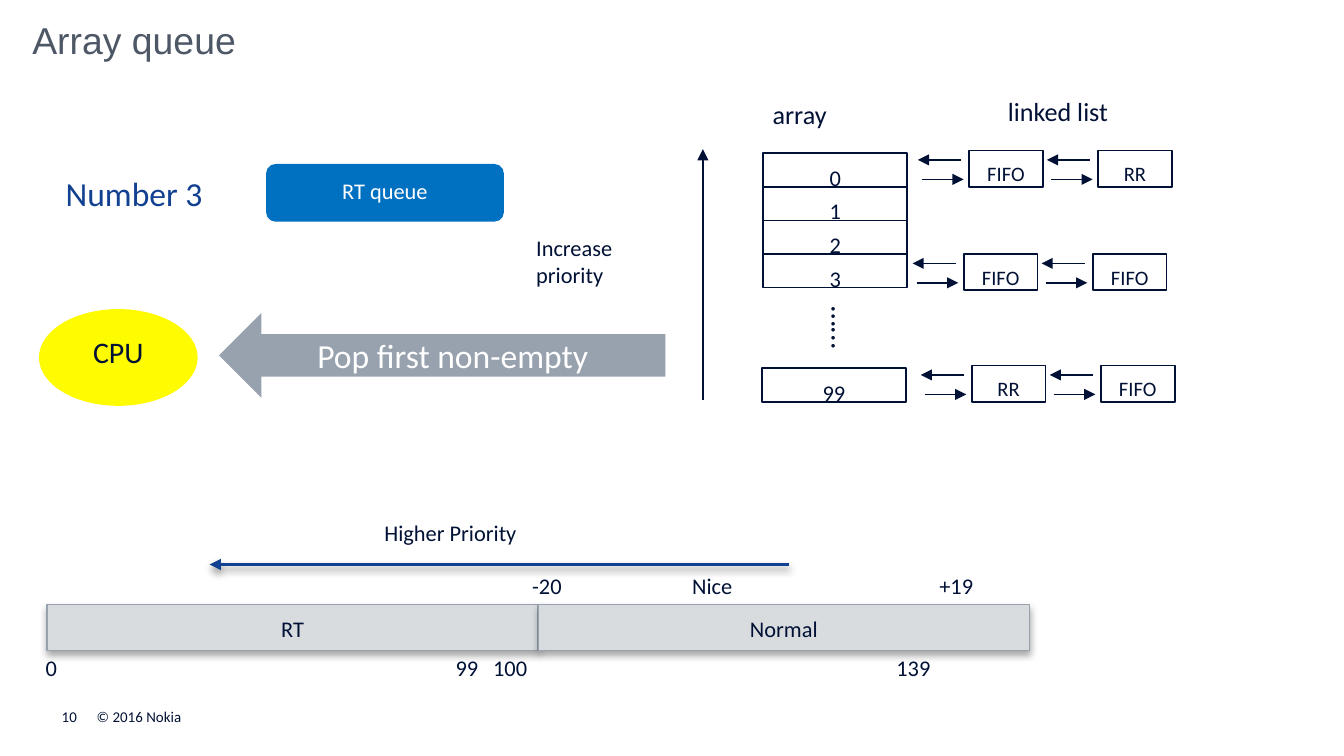
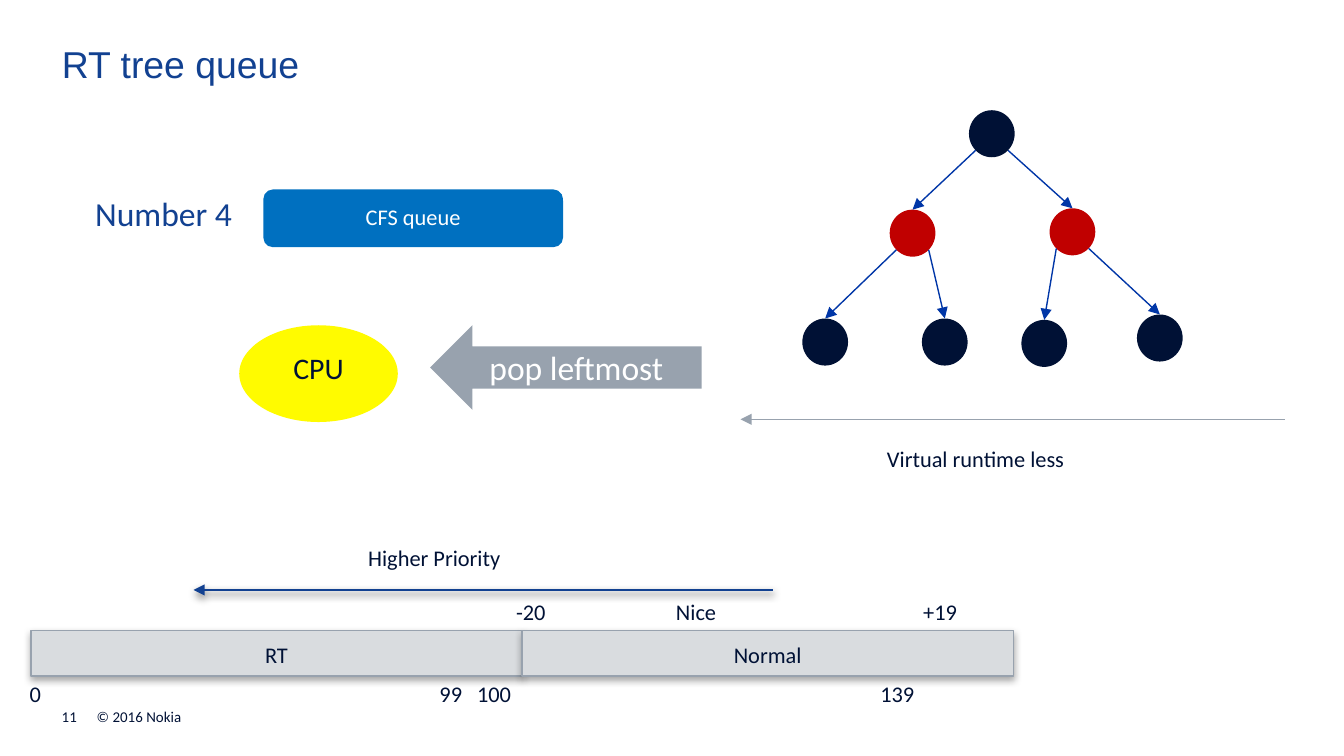
from lxml import etree
from pptx import Presentation
from pptx.dml.color import RGBColor
from pptx.enum.shapes import MSO_CONNECTOR, MSO_SHAPE
from pptx.enum.text import MSO_ANCHOR, PP_ALIGN
from pptx.oxml.ns import qn
from pptx.util import Inches, Pt

RECT, ROUNDED = MSO_SHAPE.RECTANGLE, MSO_SHAPE.ROUNDED_RECTANGLE
OVAL, LEFT_ARROW = MSO_SHAPE.OVAL, MSO_SHAPE.LEFT_ARROW
STRAIGHT = MSO_CONNECTOR.STRAIGHT
TOP, MIDDLE, BOTTOM = MSO_ANCHOR.TOP, MSO_ANCHOR.MIDDLE, MSO_ANCHOR.BOTTOM
CENTER = PP_ALIGN.CENTER

NAVY = RGBColor(0x00, 0x11, 0x35)
BLUE = RGBColor(0x12, 0x41, 0x91)
EDGE_BLUE = RGBColor(0x00, 0x36, 0xA7)
QUEUE_BLUE = RGBColor(0x00, 0x70, 0xC0)
SLATE = RGBColor(0x4D, 0x57, 0x66)
GRAY = RGBColor(0x98, 0xA2, 0xAE)
PALE = RGBColor(0xD9, 0xDC, 0xDF)
YELLOW = RGBColor(0xFF, 0xFB, 0x00)
RED = RGBColor(0xC0, 0x00, 0x00)
WHITE = RGBColor(0xFF, 0xFF, 0xFF)

COLS, ROWS = 100, 56.25
UNIT = Inches(0.1)
TIGHT = (0.8, 0.8)
LOOSE = (1, 0.5)
DIAGONAL = 0.5 ** 0.5


def grid(*lengths):
    """Turn grid columns or rows into slide lengths."""
    return [round(n * UNIT) for n in lengths]


def write(s, text, size, color, font="Calibri", inset=TIGHT, anchor=TOP, align=None):
    tf = s.text_frame
    tf.word_wrap = True
    tf.vertical_anchor = anchor
    tf.margin_left = tf.margin_right = grid(inset[0])[0]
    tf.margin_top = tf.margin_bottom = grid(inset[1])[0]
    p = tf.paragraphs[0]
    if align is not None:
        p.alignment = align
    r = p.add_run()
    r.text = text
    r.font.name, r.font.size, r.font.color.rgb = font, Pt(size), color
    return tf


def label(s, box, text, size=12, color=NAVY, **style):
    return write(s.shapes.add_textbox(*grid(*box)), text, size, color, **style)


def shape(s, kind, box, fill=None, line=None, width=1):
    sp = s.shapes.add_shape(kind, *grid(*box))
    sp.shadow.inherit = False
    if fill is None:
        sp.fill.background()
    else:
        sp.fill.solid()
        sp.fill.fore_color.rgb = fill
    if line is None:
        sp.line.fill.background()
    else:
        sp.line.color.rgb, sp.line.width = line, Pt(width)
    return sp


def box(s, at, text, size=12, width=0.9):
    write(shape(s, RECT, at, line=NAVY, width=width), text, size, NAVY, align=CENTER)


def add_shadow(effects, opacity):
    shadow = etree.SubElement(effects, qn("a:outerShdw"), blurRad=str(Pt(4)),
                              dist=str(Pt(2)), dir="5400000", rotWithShape="0")
    color = etree.SubElement(shadow, qn("a:srgbClr"), val="000000")
    etree.SubElement(color, qn("a:alpha"), val=str(opacity * 1000))


def arrow(s, start, end, color=NAVY, width=0.75, shadow=0):
    c = s.shapes.add_connector(STRAIGHT, *grid(*start, *end))
    c.line.color.rgb, c.line.width = color, Pt(width)
    etree.SubElement(c.line._get_or_add_ln(), qn("a:tailEnd"), type="triangle")
    effects = etree.SubElement(c._element.spPr, qn("a:effectLst"))
    if shadow:
        add_shadow(effects, shadow)
    return c


def tabbed(s, at, words, stops):
    """A line of words, each after the first at its own tab stop."""
    tf = label(s, at, "\t".join(words))
    tabs = etree.SubElement(tf.paragraphs[0]._p.get_or_add_pPr(), qn("a:tabLst"))
    for stop in grid(*stops):
        etree.SubElement(tabs, qn("a:tab"), pos=str(stop), algn="l")


def frame(prs, number, title, at, color):
    """A new slide with its title, number and copyright line."""
    s = prs.slides.add_slide(prs.slide_layouts[6])
    label(s, at, title, 20, color, font="Arial", inset=(0, 0))
    for x, w, text in ((7.2, 19.7, "© 2016 Nokia"), (4.6, 1.6, str(number))):
        label(s, (x, 52.7, w, 1.3), text, 8, inset=(0, 0), anchor=BOTTOM)
    return s


def queue(s, number, number_at, name, name_at):
    write(shape(s, ROUNDED, (*name_at, 4.3), QUEUE_BLUE), name, 12, WHITE, align=CENTER)
    tf = label(s, (*number_at, 13.2, 4), f"Number {number}", 18, BLUE, inset=LOOSE)
    tf.word_wrap = False


def cpu(s, x, y):
    write(shape(s, OVAL, (x, y, 11.8, 7.2), YELLOW), "CPU", 16, NAVY, align=CENTER)


def pop_arrow(s, x, y, w, text):
    write(shape(s, LEFT_ARROW, (x, y, w, 6.3), GRAY), text, 18, WHITE,
          inset=LOOSE, anchor=MIDDLE, align=CENTER)


def priority_scale(s, x, y):
    """The RT and Normal ranges, with the top left corner of RT at x, y."""
    half = 36.55
    for i, name in enumerate(("RT", "Normal")):
        sp = shape(s, RECT, (x + i * half, y, half, 3.4), PALE, GRAY, 0.75)
        add_shadow(sp._element.spPr.find(qn("a:effectLst")), 35)
        write(sp, name, 12, NAVY, align=CENTER)
    tabbed(s, (x - 0.9, y + 2.9, 75.4, 3.6), ("0", "99", "100", "139"), (30.5, 33.3, 63.3))
    tabbed(s, (x + 35.3, y - 3.2, 38.6, 3.6), ("-20", "Nice", "+19"), (11.9, 30.3))
    arrow(s, (x + 55.2, y - 3), (x + 12.1, y - 3), BLUE, 1.57, shadow=45)
    label(s, (x + 24.3, y - 7.2, 13.2, 3.6), "Higher Priority")


def linked_nodes(s, x, y, names):
    """Nodes of a linked list, each with a pair of arrows on its left."""
    for i, name in enumerate(names):
        left = x + 9.6 * i
        box(s, (left, y, 5.5, 2.7), name, 11, 1)
        arrow(s, (left - 3.5, y + 2.15), (left - 0.4, y + 2.15))
        arrow(s, (left - 0.6, y + 0.7), (left - 3.8, y + 0.7))


def array_queue(prs):
    s = frame(prs, 10, "Array queue", (2.4, 1.3, 90.9, 3.4), SLATE)
    queue(s, 3, (3.9, 12.4), "RT queue", (19.8, 12.2, 17.7))

    cell_w, cell_h = 10.7, 2.5
    for i in range(4):
        box(s, (56.8, 11.4 + i * cell_h, cell_w, cell_h), str(i))
    box(s, (56.7, 27.4, cell_w, cell_h), "99")
    dots = label(s, (60.6, 22, 4.3, 5.2), "…...", 16)
    dots._txBody.bodyPr.set("vert", "eaVert")

    linked_nodes(s, 72.1, 11.2, ("FIFO", "RR"))
    linked_nodes(s, 71.7, 18.9, ("FIFO", "FIFO"))
    linked_nodes(s, 72.3, 27.2, ("RR", "FIFO"))
    label(s, (74, 6.6, 19.5, 3.4), "linked\u00a0list", 14, inset=LOOSE)
    label(s, (56.5, 6.8, 12.2, 3.4), "array", 14, inset=LOOSE)

    arrow(s, (52.3, 29.8), (52.3, 11.1), width=1)
    label(s, (39.1, 16.6, 11, 5.6), "Increase priority")
    cpu(s, 2.9, 23)
    pop_arrow(s, 16.3, 23.3, 33.2, "Pop first non-empty")
    priority_scale(s, 3.5, 45)


def tree(s):
    w, h = 3.4, 3.5
    spots = ((72.1, 8.2), (66.2, 15.6), (78.1, 15.5),
             (59.7, 23.7), (68.6, 23.7), (76, 23.8), (84.6, 23.4))
    nodes = [shape(s, OVAL, (x, y, w, h), RED if i in (1, 2) else NAVY)
             for i, (x, y) in enumerate(spots)]
    for child in range(1, len(nodes)):
        parent = (child - 1) // 2
        side = -1 if child % 2 else 1
        x, y = spots[parent]
        start = (x + w / 2 * (1 + side * DIAGONAL), y + h / 2 * (1 + DIAGONAL))
        arrow(s, start, spots[child], EDGE_BLUE).end_connect(nodes[child], 0)


def tree_queue(prs):
    s = frame(prs, 11, "RT tree queue", (4.6, 3.1, 43.1, 3.4), BLUE)
    queue(s, 4, (6.1, 13.9), "CFS queue", (19.6, 14.1, 22.3))
    tree(s)
    arrow(s, (95.6, 31.2), (55.1, 31.2), GRAY)
    label(s, (65.2, 32.3, 29.3, 3.6), "Virtual runtime less")
    cpu(s, 17.8, 24.2)
    pop_arrow(s, 32, 24.2, 20.2, "pop leftmost")
    priority_scale(s, 2.3, 46.9)


def main():
    prs = Presentation()
    prs.slide_width, prs.slide_height = grid(COLS, ROWS)
    array_queue(prs)
    tree_queue(prs)
    prs.save("out.pptx")


if __name__ == "__main__":
    main()
